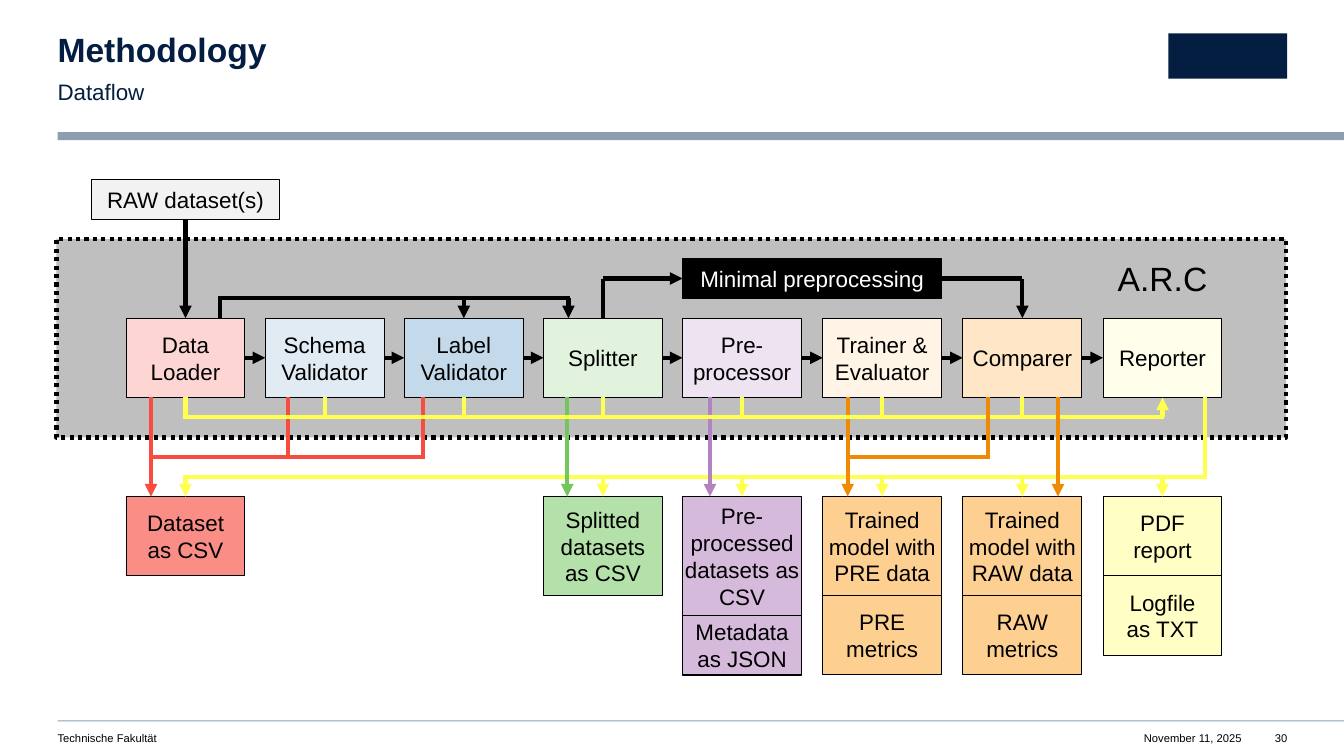
from dataclasses import dataclass
from math import floor
from typing import Any, NamedTuple, Optional, Union

from lxml import etree
from pptx import Presentation
from pptx.dml.color import RGBColor
from pptx.enum.dml import MSO_LINE
from pptx.enum.shapes import MSO_CONNECTOR, MSO_SHAPE
from pptx.enum.text import MSO_ANCHOR, PP_ALIGN
from pptx.oxml.ns import qn
from pptx.util import Inches, Pt

RECTANGLE, STRAIGHT = MSO_SHAPE.RECTANGLE, MSO_CONNECTOR.STRAIGHT
LEFT, CENTER, RIGHT = PP_ALIGN.LEFT, PP_ALIGN.CENTER, PP_ALIGN.RIGHT
TOP_ANCHOR, MIDDLE = MSO_ANCHOR.TOP, MSO_ANCHOR.MIDDLE
DOTTED = MSO_LINE.ROUND_DOT
TOP_SIDE, LEFT_SIDE, BOTTOM_SIDE, RIGHT_SIDE = range(4)

BLACK = RGBColor(0x00, 0x00, 0x00)
WHITE = RGBColor(0xFF, 0xFF, 0xFF)
NAVY = RGBColor(0x04, 0x1E, 0x42)
STEEL = RGBColor(0x8C, 0x9F, 0xB1)
PANEL_GREY = RGBColor(0xBF, 0xBF, 0xBF)
RAW_GREY = RGBColor(0xF2, 0xF2, 0xF2)
ROSE = RGBColor(0xFD, 0xD6, 0xD3)
ICE = RGBColor(0xE0, 0xEB, 0xF4)
SKY = RGBColor(0xC4, 0xD9, 0xEA)
MINT = RGBColor(0xE1, 0xF3, 0xDD)
LILAC = RGBColor(0xEE, 0xE3, 0xF1)
CREAM = RGBColor(0xFF, 0xF4, 0xE5)
PEACH = RGBColor(0xFE, 0xE6, 0xC6)
IVORY = RGBColor(0xFF, 0xFF, 0xEB)
SALMON = RGBColor(0xFA, 0x8E, 0x86)
LEAF = RGBColor(0xB4, 0xE1, 0xA9)
MAUVE = RGBColor(0xD5, 0xBA, 0xDC)
APRICOT = RGBColor(0xFD, 0xCF, 0x91)
LEMON = RGBColor(0xFF, 0xFF, 0xC5)
YELLOW = RGBColor(0xFF, 0xFF, 0x4F)
RED = RGBColor(0xF7, 0x4C, 0x3F)
GREEN = RGBColor(0x71, 0xC7, 0x5D)
PURPLE = RGBColor(0xB3, 0x82, 0xC0)
ORANGE = RGBColor(0xEE, 0x8A, 0x04)

SLIDE_W, SLIDE_H = 13.33, 7.5
BOX_W = 1.18
ROW_H = BOX_W / 6
BUS_OVERHANG = 0.02
STAGE_ROW, STAGE_END, OUTPUT_ROW = 7, 11, 16


class Point(NamedTuple):
    column: float  # whole part: column, fraction: share of the box width
    row: float


class Side(NamedTuple):
    box: str
    site: int


@dataclass
class Box:
    text: str
    column: int
    row: int
    rows: int
    fill: Optional[RGBColor]
    tight: bool = False
    color: RGBColor = BLACK
    size: int = 16
    width: float = BOX_W
    offset: float = 0


@dataclass
class Wire:
    start: Union[Point, Side]
    end: Union[Point, Side]
    color: RGBColor = BLACK
    arrow: bool = True


@dataclass
class Label:
    text: str
    area: tuple[float, float, float, float]
    align: Any = LEFT


STAGES = [Box(text, column, STAGE_ROW, 4, fill, tight) for column, (text, fill, tight) in enumerate([
    ("Data Loader", ROSE, False), ("Schema\nValidator", ICE, False),
    ("Label\nValidator", SKY, False), ("Splitter", MINT, False),
    ("Pre-\nprocessor", LILAC, True), ("Trainer &\nEvaluator", CREAM, False),
    ("Comparer", PEACH, True), ("Reporter", IVORY, False)])]
RAW = Box("RAW dataset(s)", 0, 0, 2, RAW_GREY, width=1.86, offset=-0.34)
MINIMAL = Box("Minimal preprocessing", 4, 4, 2, BLACK, color=WHITE, width=2.57)
ARC = Box("A.R.C", 7, 3, 4, None, size=24)
OUTPUTS = [
    Box("Dataset\nas CSV", 0, OUTPUT_ROW, 4, SALMON),
    Box("Splitted datasets as CSV", 3, OUTPUT_ROW, 5, LEAF),
    Box("Pre-processed datasets as CSV", 4, OUTPUT_ROW, 6, MAUVE, True),
    Box("Trained model with PRE data", 5, OUTPUT_ROW, 5, APRICOT, True),
    Box("Trained model with RAW data", 6, OUTPUT_ROW, 5, APRICOT, True),
    Box("PDF report", 7, OUTPUT_ROW, 4, LEMON)]
EXTRAS = [
    Box("Metadata as JSON", 4, 22, 3, MAUVE, True),
    Box("PRE metrics", 5, 21, 4, APRICOT, True),
    Box("RAW metrics", 6, 21, 4, APRICOT, True),
    Box("Logfile\nas TXT", 7, 20, 4, LEMON)]

WIRES = [
    # Main flow and shortcuts
    *[Wire(Side(a.text, RIGHT_SIDE), Side(b.text, LEFT_SIDE)) for a, b in zip(STAGES, STAGES[1:])],
    Wire(Side(RAW.text, BOTTOM_SIDE), Side("Data Loader", TOP_SIDE)),
    Wire(Side("Splitter", TOP_SIDE), Point(3.5, 5), arrow=False),
    Wire(Point(3.5, 5), Side(MINIMAL.text, LEFT_SIDE)),
    Wire(Side(MINIMAL.text, RIGHT_SIDE), Point(6.5, 5), arrow=False),
    Wire(Point(6.5, 5), Side("Comparer", TOP_SIDE)),
    Wire(Point(0.79, STAGE_ROW), Point(0.79, 6), arrow=False),
    Wire(Point(0.79, 6), Point(3.21, 6), arrow=False),
    Wire(Point(2.5, 6), Side("Label\nValidator", TOP_SIDE)),
    Wire(Point(3.21, 6), Point(3.21, STAGE_ROW)),
    # Reporter to every output
    Wire(Point(0.5, 15), Point(7.86, 15), YELLOW, False),
    *[Wire(Point(out.column + 0.5, 15), Side(out.text, TOP_SIDE), YELLOW) for out in OUTPUTS],
    # Stages to their data sets and models
    Wire(Point(0.21, STAGE_END), Point(0.21, OUTPUT_ROW), RED),
    Wire(Point(0.21, 14), Point(2.16, 14), RED, False),
    *[Wire(Point(tap, STAGE_END), Point(tap, 14), RED, False) for tap in (1.19, 2.16)],
    *[Wire(Point(tap, STAGE_END), Point(tap, OUTPUT_ROW), color)
      for tap, color in ((3.2, GREEN), (4.23, PURPLE), (5.21, ORANGE))],
    # Every stage to the reporter
    Wire(Point(0.5, 12), Point(7.5, 12), YELLOW, False),
    *[Wire(Side(stage.text, BOTTOM_SIDE), Point(stage.column + 0.5, 12), YELLOW, False)
      for stage in STAGES[:-1]],
    Wire(Point(7.5, 12), Side("Reporter", BOTTOM_SIDE), YELLOW),
    Wire(Point(7.86, 15), Point(7.86, STAGE_END), YELLOW, False),
    # Comparer to the trained models
    Wire(Point(6.21, STAGE_END), Point(6.21, 14), ORANGE, False),
    Wire(Point(5.21, 14), Point(6.21, 14), ORANGE, False),
    Wire(Point(6.8, STAGE_END), Point(6.8, OUTPUT_ROW), ORANGE)]

FOOTER = [
    Label("November 11, 2025", (84.9, 96.8, 7.5, 1.73), RIGHT),
    Label("Technische Fakultät", (4.28, 96.8, 44.85, 1.73)),
    Label("30", (94.2, 96.8, 1.58, 1.73), RIGHT)]


def apply(target: Any, values: dict[str, Any]) -> None:
    for name, value in values.items():
        setattr(target, name, value)


def area(left: float, top: float, width: float, height: float) -> list[int]:
    """Turn percentages of the slide into lengths."""
    return [Inches(share * side / 100) for share, side in
            zip((left, top, width, height), (SLIDE_W, SLIDE_H) * 2)]


def grid_x(column: float) -> float:
    whole = floor(column)
    return 1.25 + 1.38 * whole + 0.01 * max(0, whole - 4) + (column - whole) * BOX_W


def grid_y(row: float) -> float:
    return 1.78 + ROW_H * row


def write(shape: Any, text: str, size: int, color: RGBColor, align: Any, anchor: Any = TOP_ANCHOR,
          insets: tuple = (0, 0, 0, 0), bold: bool = False, **spacing: Any) -> None:
    frame = shape.text_frame
    sides = ("margin_left", "margin_top", "margin_right", "margin_bottom")
    apply(frame, {"text": text, "word_wrap": True, "vertical_anchor": anchor,
                  **dict(zip(sides, map(Inches, insets)))})
    for paragraph in frame.paragraphs:
        apply(paragraph, {"alignment": align, **spacing})
        for run in paragraph.runs:
            apply(run.font, {"name": "Arial", "size": Pt(size), "bold": bold})
            run.font.color.rgb = color


def add_block(slide: Any, place: list[int], fill: RGBColor, line_width: float = 0) -> Any:
    block = slide.shapes.add_shape(RECTANGLE, *place)
    block.shadow.inherit = False
    block.fill.solid()
    block.fill.fore_color.rgb = fill
    if line_width:
        block.line.color.rgb = BLACK
        block.line.width = Pt(line_width)
    else:
        block.line.fill.background()
    return block


def add_box(slide: Any, box: Box) -> Any:
    place = [Inches(v) for v in (grid_x(box.column) + box.offset, grid_y(box.row),
                                 box.width, box.rows * ROW_H)]
    shape = add_block(slide, place, box.fill, 0.75) if box.fill else slide.shapes.add_textbox(*place)
    side = 0 if box.tight else 0.1
    write(shape, box.text, box.size, box.color, CENTER, MIDDLE, (side, 0.05, side, 0.05))
    return shape


def add_wire(slide: Any, wire: Wire, shapes: dict[str, Any]) -> None:
    ends = [(grid_x(end.column), grid_y(end.row)) if isinstance(end, Point) else (0.0, 0.0)
            for end in (wire.start, wire.end)]
    (x1, y1), (x2, y2) = ends
    if not wire.arrow and y1 == y2:
        x1, x2 = x1 - BUS_OVERHANG, x2 + BUS_OVERHANG
    connector = slide.shapes.add_connector(STRAIGHT, *map(Inches, (x1, y1, x2, y2)))
    for end, connect in ((wire.start, connector.begin_connect), (wire.end, connector.end_connect)):
        if isinstance(end, Side):
            connect(shapes[end.box], end.site)
    connector.line.color.rgb = wire.color
    connector.line.width = Pt(3)
    properties = connector._element.spPr
    if wire.arrow:
        etree.SubElement(properties.find(qn("a:ln")), qn("a:tailEnd"), type="triangle")
    etree.SubElement(properties, qn("a:effectLst"))


def main() -> None:
    deck = Presentation()
    deck.slide_width, deck.slide_height = Inches(SLIDE_W), Inches(SLIDE_H)
    slide = deck.slides.add_slide(deck.slide_layouts[1])

    # Header and footer
    for bar in ((4.28, 17.47, 95.72, 1.07), (4.28, 95.3, 95.72, 0.13)):
        add_block(slide, area(*bar), STEEL)
    add_block(slide, area(86.93, 4.4, 8.85, 6), NAVY)
    title, subtitle = slide.shapes.title, slide.placeholders[1]
    for holder, place in ((title, (4.28, 4.4, 56.18, 4.8)), (subtitle, (4.28, 10, 56.18, 3.6))):
        apply(holder, dict(zip(("left", "top", "width", "height"), area(*place))))
    write(title, "Methodology", 24, NAVY, LEFT, bold=True, line_spacing=0.9)
    write(subtitle, "Dataflow", 16, NAVY, LEFT, insets=(0, 0, 0.39, 0),
          line_spacing=1.1, space_before=Pt(0), space_after=Pt(12))
    bullet_free = subtitle.text_frame.paragraphs[0]._p.get_or_add_pPr()
    apply_indent = {"marL": "0", "indent": "0"}
    for name, value in apply_indent.items():
        bullet_free.set(name, value)
    etree.SubElement(bullet_free, qn("a:buNone"))
    for label in FOOTER:
        write(slide.shapes.add_textbox(*area(*label.area)), label.text, 8, BLACK, label.align)

    # Dataflow diagram
    panel = add_block(slide, area(4.2, 31.6, 91.5, 26.27), PANEL_GREY, 3)
    panel.line.dash_style = DOTTED
    boxes = [*STAGES, MINIMAL, ARC, RAW, *OUTPUTS, *EXTRAS]
    shapes = {box.text: add_box(slide, box) for box in boxes}
    for wire in WIRES:
        add_wire(slide, wire, shapes)
    deck.save("out.pptx")


if __name__ == "__main__":
    main()
